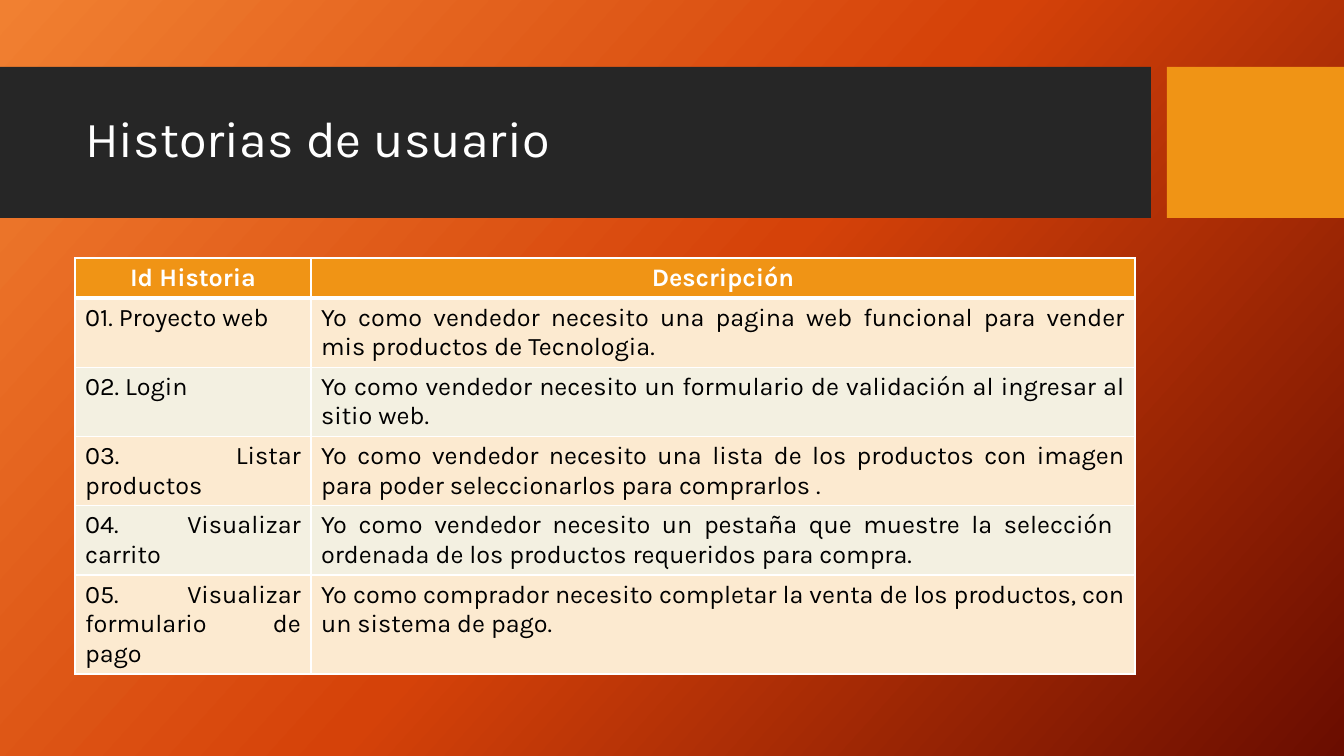
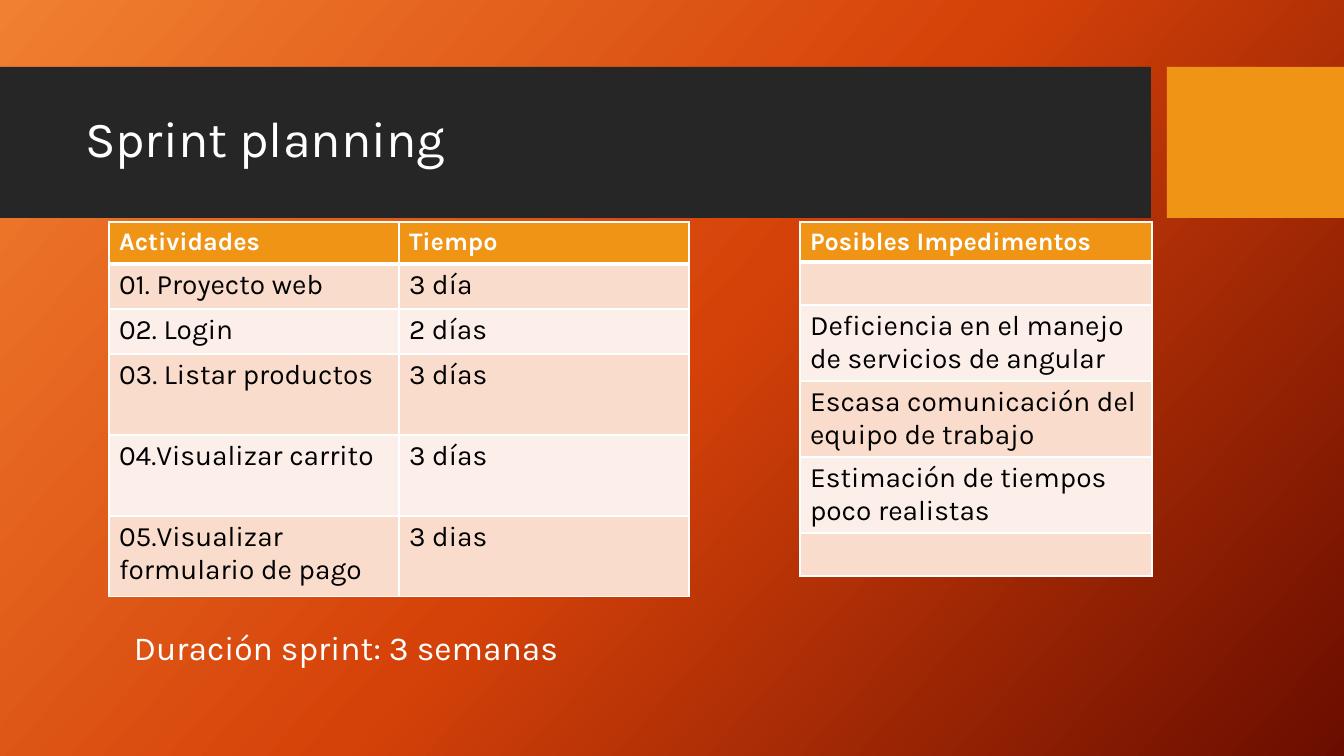
import copy

import lxml.etree
import pptx
import pptx.dml.color
import pptx.enum.shapes
import pptx.enum.text
import pptx.oxml.ns
import pptx.util

EMU_PER_PX = 914400 / 100.8
FONT = "Karla"
WHITE, BLACK = "FFFFFF", "000000"
DARK, ACCENT = "262626", "F09415"
BACKGROUND_STOPS = [(0, "F18031"), (0.5, "D54209"), (1, "6A0D00")]
CREAM_STRIPES = ("FCEAD0", "F3F0E1")
PINK_STRIPES = ("F9DCCC", "FCEEE8")
LEFT = pptx.enum.text.PP_ALIGN.LEFT
CENTER = pptx.enum.text.PP_ALIGN.CENTER
JUSTIFY = pptx.enum.text.PP_ALIGN.JUSTIFY

STORIES = [
    ("Id Historia", "Descripción"),
    ("01. Proyecto web",
     "Yo como vendedor necesito una pagina web funcional para vender mis productos de Tecnologia."),
    ("02. Login",
     "Yo como vendedor necesito un formulario de validación al ingresar al sitio web."),
    ("03. Listar productos",
     "Yo como vendedor necesito una lista de los productos con imagen para poder seleccionarlos para comprarlos ."),
    ("04. Visualizar carrito",
     "Yo como vendedor necesito un pestaña que muestre la selección  ordenada de los productos requeridos para compra."),
    ("05. Visualizar formulario de pago",
     "Yo como comprador necesito completar la venta de los productos, con un sistema de pago."),
]
ACTIVITIES = [
    ("Actividades", "Tiempo"),
    ("01. Proyecto web", "3 día"),
    ("02. Login", "2 días"),
    ("03. Listar productos", "3 días"),
    ("04.Visualizar carrito", "3 días"),
    ("05.Visualizar formulario de pago", "3 dias"),
]
IMPEDIMENTS = [
    ("Posibles Impedimentos",),
    ("",),
    ("Deficiencia en el manejo de servicios de angular",),
    ("Escasa comunicación del equipo de trabajo",),
    ("Estimación de tiempos poco realistas",),
    ("",),
]


def px(length):
    return pptx.util.Emu(round(length * EMU_PER_PX))


def color(value):
    return pptx.dml.color.RGBColor.from_string(value)


def add_run(paragraph, text, size, text_color, bold=False):
    run = paragraph.add_run()
    run.text = text
    run.font.name = FONT
    run.font.size = pptx.util.Pt(size)
    run.font.bold = bold
    run.font.color.rgb = color(text_color)


def set_background(layout):
    fill = layout.background.fill
    fill.gradient()
    fill.gradient_angle = 360 - 42
    stop_list = layout.element.find(".//" + pptx.oxml.ns.qn("a:gsLst"))
    stop_list.append(copy.deepcopy(stop_list[-1]))
    for stop, (position, value) in zip(fill.gradient_stops, BACKGROUND_STOPS):
        stop.position = position
        stop.color.rgb = color(value)


def add_band(slide, layout, left, width, fill_color):
    band = slide.shapes.add_shape(
        pptx.enum.shapes.MSO_SHAPE.RECTANGLE, px(left), px(67), px(width), px(151))
    band.shadow.inherit = False
    band.fill.solid()
    band.fill.fore_color.rgb = color(fill_color)
    band.line.fill.background()
    layout.shapes.element.insert(2, band.element) if hasattr(layout.shapes, "element") \
        else layout.shapes[0].element.addprevious(band.element)


def style_layout(layout, slide):
    set_background(layout)
    add_band(slide, layout, 0, 1151, DARK)
    add_band(slide, layout, 1167, 177, ACCENT)
    title = next(shape for shape in layout.placeholders
                 if shape.placeholder_format.type == pptx.enum.shapes.PP_PLACEHOLDER.TITLE)
    title.left, title.top, title.width, title.height = px(75), px(82), px(1060), px(119)
    title.text_frame.vertical_anchor = pptx.enum.text.MSO_ANCHOR.MIDDLE


def set_title(slide, text):
    paragraph = slide.shapes.title.text_frame.paragraphs[0]
    paragraph.alignment = LEFT
    paragraph.line_spacing = 0.9
    add_run(paragraph, text, 36, WHITE)


def set_borders(cell, top, bottom):
    properties = cell._tc.get_or_add_tcPr()
    for side, points in (("L", 1), ("R", 1), ("T", top), ("B", bottom)):
        line = lxml.etree.SubElement(
            properties, pptx.oxml.ns.qn("a:ln" + side), w=str(pptx.util.Pt(points)))
        fill = lxml.etree.SubElement(line, pptx.oxml.ns.qn("a:solidFill"))
        lxml.etree.SubElement(fill, pptx.oxml.ns.qn("a:srgbClr"), val=WHITE)


def add_grid(slide, left, top, widths, heights, rows, stripes, size,
             alignments, header_alignment=LEFT):
    table = slide.shapes.add_table(
        len(rows), len(widths), px(left), px(top), px(sum(widths)), px(sum(heights))).table
    for column, width in zip(table.columns, widths):
        column.width = px(width)
    for row, height in zip(table.rows, heights):
        row.height = px(height)
    for row_index, texts in enumerate(rows):
        header = row_index == 0
        for column_index, text in enumerate(texts):
            cell = table.cell(row_index, column_index)
            set_borders(cell, 3 if row_index == 1 else 1, 3 if header else 1)
            cell.fill.solid()
            cell.fill.fore_color.rgb = color(ACCENT if header else stripes[(row_index - 1) % 2])
            paragraph = cell.text_frame.paragraphs[0]
            paragraph.alignment = header_alignment if header else alignments[column_index]
            if text:
                add_run(paragraph, text, 18 if header else size,
                        WHITE if header else BLACK, header)


def add_caption(slide, text):
    frame = slide.shapes.add_textbox(px(124), px(622), px(601), px(50)).text_frame
    frame.word_wrap = True
    add_run(frame.paragraphs[0], text, 24, WHITE)


def main():
    presentation = pptx.Presentation()
    presentation.slide_width, presentation.slide_height = px(1344), px(756)
    layout = presentation.slide_layouts.get_by_name("Title Only")
    stories, planning = [presentation.slides.add_slide(layout) for _ in range(2)]
    style_layout(layout, stories)

    set_title(stories, "Historias de usuario")
    add_grid(stories, 75, 258, [236, 824], [40] + [69] * 4 + [99], STORIES,
             CREAM_STRIPES, 18, [JUSTIFY, JUSTIFY], CENTER)

    set_title(planning, "Sprint planning")
    add_grid(planning, 109, 222, [290, 290], [42, 45, 45] + [81] * 3, ACTIVITIES,
             PINK_STRIPES, 20, [JUSTIFY, LEFT])
    add_grid(planning, 800, 222, [352], [40, 43] + [76] * 3 + [43], IMPEDIMENTS,
             PINK_STRIPES, 20, [LEFT])
    add_caption(planning, "Duración sprint: 3 semanas")

    presentation.save("out.pptx")


if __name__ == "__main__":
    main()
